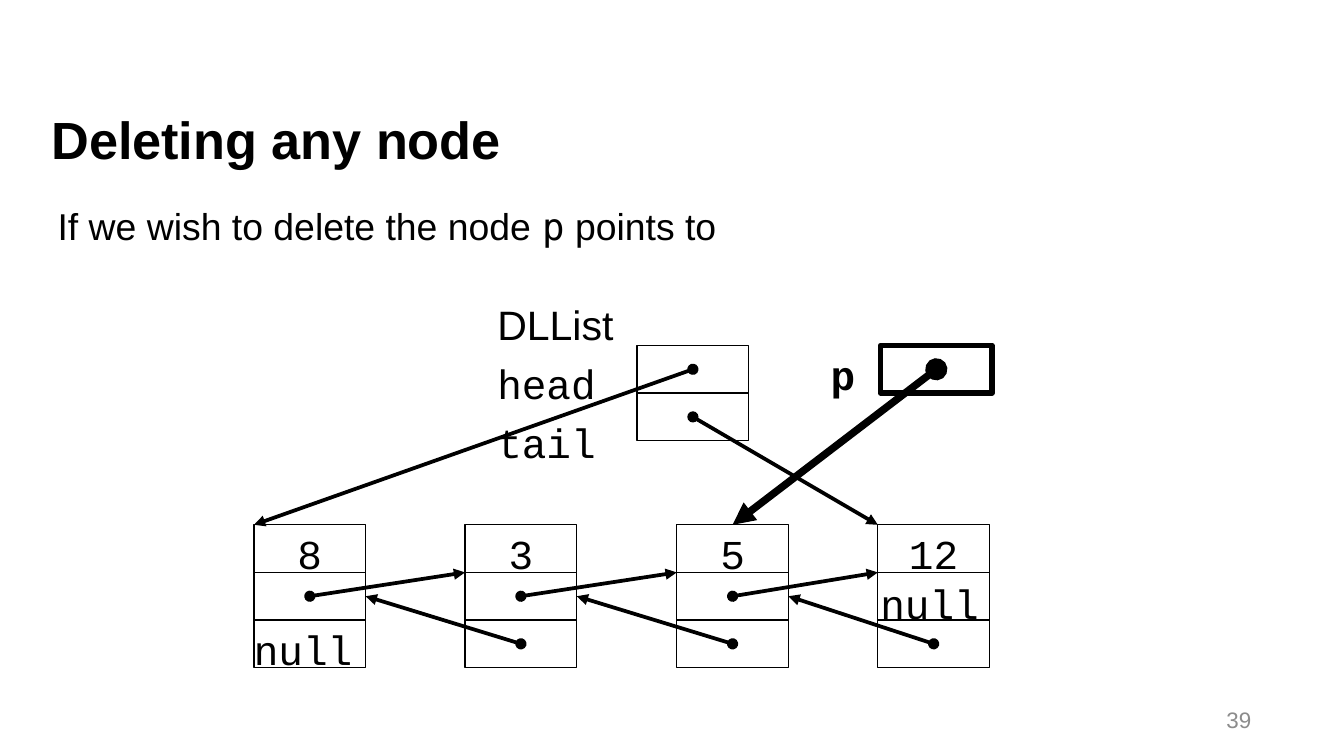
from dataclasses import dataclass
from typing import Optional

from lxml import etree
from pptx import Presentation
from pptx import util as u
from pptx.dml.color import RGBColor
from pptx.enum import shapes, text
from pptx.oxml.ns import qn


@dataclass(frozen=True)
class Theme:
    ink: RGBColor = RGBColor(0, 0, 0)
    muted: RGBColor = RGBColor(0x8C, 0x8C, 0x8C)
    sans: str = "Arial"
    mono: str = "Courier New"
    inline_mono: str = "DejaVu Sans Mono"
    title_size: float = 28
    body_size: float = 20
    diagram_size: float = 22
    number_size: float = 12
    hairline: float = 0
    frame: float = 2.83
    arrow: float = 2
    bold_arrow: float = 4


@dataclass(frozen=True)
class Line:
    words: str
    font: str
    size: float = 22
    bold: bool = False
    color: RGBColor = RGBColor(0, 0, 0)
    align: text.PP_ALIGN = text.PP_ALIGN.LEFT
    space_before: float = 0


@dataclass(frozen=True)
class Node:
    left: float
    value: str


@dataclass(frozen=True)
class Cell:
    shape: object
    left: float
    top: float

    @property
    def corner(self) -> tuple[float, float]:
        return self.left, self.top

    @property
    def center(self) -> tuple[float, float]:
        return self.left + CELL_WIDTH / 2, self.top + CELL_HEIGHT / 2


THEME = Theme()
CELL_WIDTH, CELL_HEIGHT = 2.11, 0.9
NODE_TOP, LIST_TOP = 9.92, 6.53
TEXT_DROP = 0.17
TOP_SIDE, RIGHT_SIDE = 0, 3
NODES = [Node(4.8, "8"), Node(8.79, "3"), Node(12.79, "5"), Node(16.59, "12")]


def write(frame, lines: list[Line], anchor=text.MSO_ANCHOR.TOP, drop: float = 0) -> None:
    frame.word_wrap = True
    frame.vertical_anchor = anchor
    frame.margin_left = frame.margin_right = frame.margin_bottom = 0
    frame.margin_top = u.Cm(drop)
    for index, line in enumerate(lines):
        paragraph = frame.paragraphs[0] if index == 0 else frame.add_paragraph()
        paragraph.text = line.words
        paragraph.alignment = line.align
        paragraph.space_before = u.Pt(line.space_before)
        font = paragraph.font
        font.name, font.size, font.bold = line.font, u.Pt(line.size), line.bold
        font.color.rgb = line.color


def add_text(slide, left: float, top: float, width: float, height: float,
             lines: list[Line], anchor=text.MSO_ANCHOR.TOP, drop: float = 0):
    box = slide.shapes.add_textbox(u.Cm(left), u.Cm(top), u.Cm(width), u.Cm(height))
    write(box.text_frame, lines, anchor, drop)
    return box


def add_cell(slide, left: float, top: float, value: str = "",
             weight: float = THEME.hairline) -> Cell:
    shape = slide.shapes.add_shape(shapes.MSO_SHAPE.RECTANGLE, u.Cm(left), u.Cm(top),
                                   u.Cm(CELL_WIDTH), u.Cm(CELL_HEIGHT))
    shape.shadow.inherit = False
    shape.fill.background()
    shape.line.color.rgb = THEME.ink
    shape.line.width = u.Pt(weight)
    if value:
        write(shape.text_frame, [Line(value, THEME.mono, align=text.PP_ALIGN.CENTER)],
              text.MSO_ANCHOR.MIDDLE, TEXT_DROP)
    return Cell(shape, left, top)


def add_pointer(slide, source: Cell, target: Cell, side: Optional[int] = None,
                weight: float = THEME.arrow) -> None:
    points = [u.Cm(value) for value in (*source.center, *target.corner)]
    pointer = slide.shapes.add_connector(shapes.MSO_CONNECTOR.STRAIGHT, *points)
    if side is not None:
        pointer.end_connect(target.shape, side)
    pointer.line.color.rgb = THEME.ink
    pointer.line.width = u.Pt(weight)
    outline = pointer.line._get_or_add_ln()
    etree.SubElement(outline, qn("a:headEnd"), type="oval")
    etree.SubElement(outline, qn("a:tailEnd"), type="triangle")
    etree.SubElement(pointer._element.spPr, qn("a:effectLst"))


def add_null(slide, left: float, top: float) -> None:
    add_text(slide, left, top, CELL_WIDTH, CELL_HEIGHT, [Line("null", THEME.mono)],
             text.MSO_ANCHOR.MIDDLE, TEXT_DROP)


def add_heading(slide) -> None:
    title = slide.shapes.title
    title.left, title.top, title.width, title.height = (
        u.Cm(value) for value in (0.97, 2.03, 23.39, 1.8))
    write(title.text_frame, [Line("Deleting any node", THEME.sans, THEME.title_size, True)])

    body = add_text(slide, 1.09, 3.84, 23.39, 9.14,
                    [Line("If we wish to delete the node ", THEME.sans, THEME.body_size)])
    paragraph = body.text_frame.paragraphs[0]
    for words, font in (("p", THEME.inline_mono), (" points to", THEME.sans)):
        run = paragraph.add_run()
        run.text = words
        run.font.name = font


def add_diagram(slide) -> None:
    nodes = [[add_cell(slide, node.left, NODE_TOP + row * CELL_HEIGHT,
                       node.value if row == 0 else "") for row in range(3)]
             for node in NODES]
    head, tail = (add_cell(slide, 12.04, LIST_TOP + row * CELL_HEIGHT) for row in range(2))
    target = add_cell(slide, 16.64, LIST_TOP, weight=THEME.frame)

    add_text(slide, 9.4, 5.67, 2.74, 2.82, [
        Line("DLList", THEME.sans),
        Line("head", THEME.mono, space_before=5),
        Line("tail", THEME.mono, space_before=5),
    ])
    add_text(slide, 15.7, 6.6, 0.76, CELL_HEIGHT, [Line("p", THEME.mono, bold=True)])
    add_null(slide, 16.64, 10.87)
    add_null(slide, 4.8, 11.73)

    for current, following in zip(nodes, nodes[1:]):
        add_pointer(slide, current[1], following[1])
        add_pointer(slide, following[2], current[1], RIGHT_SIDE)
    add_pointer(slide, head, nodes[0][0])
    add_pointer(slide, tail, nodes[-1][0])
    add_pointer(slide, target, nodes[2][0], TOP_SIDE, THEME.bold_arrow)


def main() -> None:
    presentation = Presentation()
    presentation.slide_width, presentation.slide_height = u.Cm(25.4), u.Cm(14.29)
    slide = presentation.slides.add_slide(presentation.slide_layouts[5])
    add_heading(slide)
    add_diagram(slide)
    add_text(slide, 18.19, 13.23, 5.46, 0.76,
             [Line("39", THEME.sans, THEME.number_size, color=THEME.muted,
                   align=text.PP_ALIGN.RIGHT)], text.MSO_ANCHOR.MIDDLE)
    presentation.save("out.pptx")


if __name__ == "__main__":
    main()
